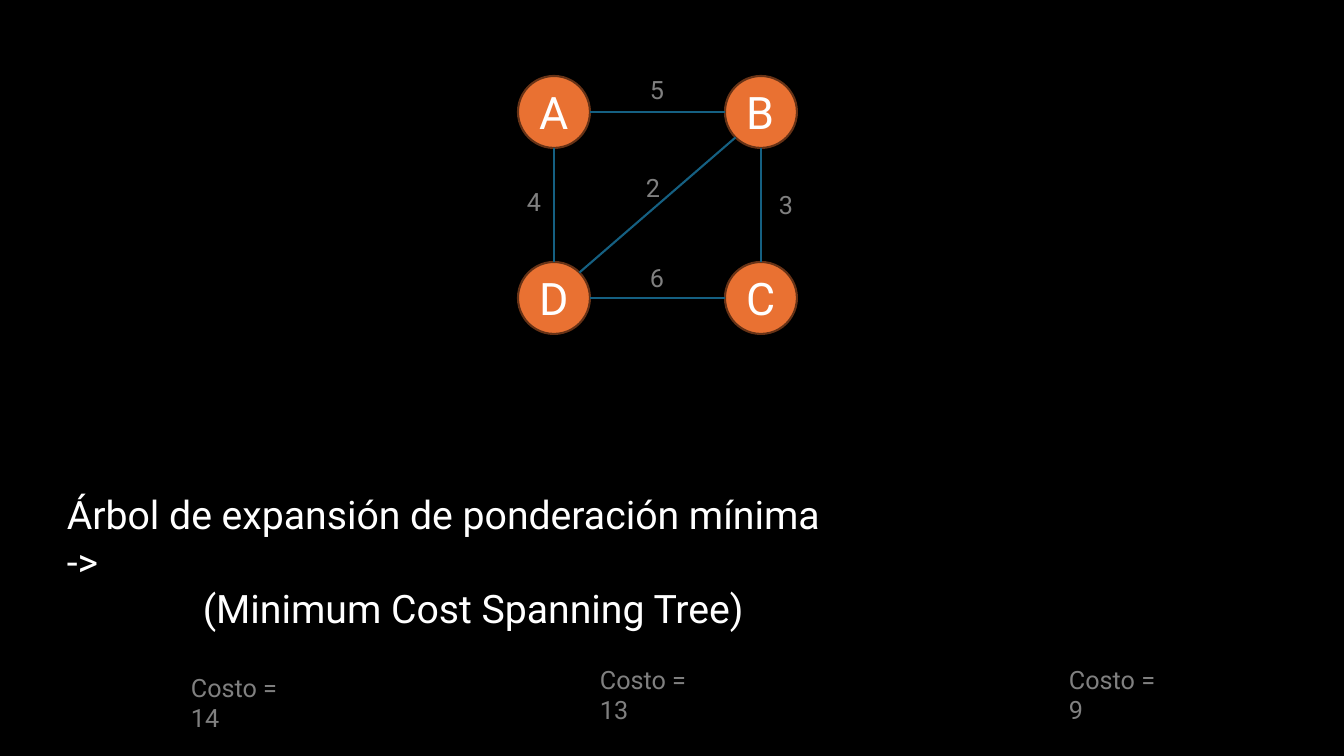
from math import hypot

from lxml import etree
from pptx import Presentation
from pptx import util as u
from pptx.dml.color import RGBColor
from pptx.enum import shapes, text
from pptx.oxml.ns import qn

# Content: places and sizes in px
COLORS = {"back": "000000", "edge": "156082", "node": "E97132",
          "ring": "663216", "white": "FFFFFF", "gray": "808080"}
FONT = "Roboto"
NODES = {"A": (554, 112), "B": (761, 112), "C": (761, 298), "D": (554, 298)}
RADIUS = 36
# start, end, weight, left and top of the weight label
EDGES = [("A", "B", "5", 640, 69), ("D", "C", "6", 640, 257),
         ("B", "C", "3", 769, 184), ("A", "D", "4", 517, 181),
         ("D", "B", "2", 636, 167)]
LABEL_SIZE = (34, 40)
COSTS = [("Costo = 14", 181, 667, 137), ("Costo = 13", 590, 659, 137),
         ("Costo = 9", 1059, 659, 124)]
TITLE = ["Árbol de expansión de ponderación mínima ->",
         "(Minimum Cost Spanning Tree)"]
TITLE_AREA = (57, 485, 801, 105)
TITLE_INDENT = 136
SCALE = 914400 / 100.8


def px(length):
    return u.Emu(round(length * SCALE))


def color(name):
    return RGBColor.from_string(COLORS[name])


def style(para, size, name):
    para.font.name = FONT
    para.font.size = u.Pt(size)
    para.font.color.rgb = color(name)


def add_text(page, lines, area, size, name):
    box = page.shapes.add_textbox(*map(px, area))
    frame = box.text_frame
    frame.word_wrap = True
    frame.text = "\n".join(lines)
    for para in frame.paragraphs:
        style(para, size, name)
    return frame


def add_edge(page, start, end):
    (x1, y1), (x2, y2) = NODES[start], NODES[end]
    # Edges meet the circles at the nearest multiple of 45 degrees
    step_x, step_y = (x2 > x1) - (x2 < x1), (y2 > y1) - (y2 < y1)
    reach = RADIUS / hypot(step_x, step_y)
    dx, dy = step_x * reach, step_y * reach
    line = page.shapes.add_connector(
        shapes.MSO_CONNECTOR.STRAIGHT,
        *map(px, (x1 + dx, y1 + dy, x2 - dx, y2 - dy)))
    line.line.color.rgb = color("edge")
    line.line.width = u.Pt(1.5)
    etree.SubElement(line._element.spPr, qn("a:effectLst"))


def add_node(page, name, x, y):
    circle = page.shapes.add_shape(
        shapes.MSO_SHAPE.OVAL,
        *map(px, (x - RADIUS, y - RADIUS, 2 * RADIUS, 2 * RADIUS)))
    circle.shadow.inherit = False
    circle.fill.solid()
    circle.fill.fore_color.rgb = color("node")
    circle.line.color.rgb = color("ring")
    circle.line.width = u.Pt(1.5)
    frame = circle.text_frame
    frame.text = name
    frame.vertical_anchor = text.MSO_ANCHOR.MIDDLE
    para = frame.paragraphs[0]
    para.alignment = text.PP_ALIGN.CENTER
    style(para, 32, "white")


def main():
    deck = Presentation()
    deck.slide_width, deck.slide_height = px(1344), px(756)
    page = deck.slides.add_slide(deck.slide_layouts[6])
    page.background.fill.solid()
    page.background.fill.fore_color.rgb = color("back")

    # Weighted graph
    for name, (x, y) in NODES.items():
        add_node(page, name, x, y)
    for start, end, weight, left, top in EDGES:
        add_edge(page, start, end)
        add_text(page, [weight], (left, top, *LABEL_SIZE), 18, "gray")

    # Costs of the spanning trees
    for cost, left, top, width in COSTS:
        add_text(page, [cost], (left, top, width, 40), 18, "gray")

    # Title with an indented second line
    title = add_text(page, TITLE, TITLE_AREA, 28, "white")
    title.paragraphs[1]._p.get_or_add_pPr().set("marL", str(px(TITLE_INDENT)))

    deck.save("out.pptx")


if __name__ == "__main__":
    main()
